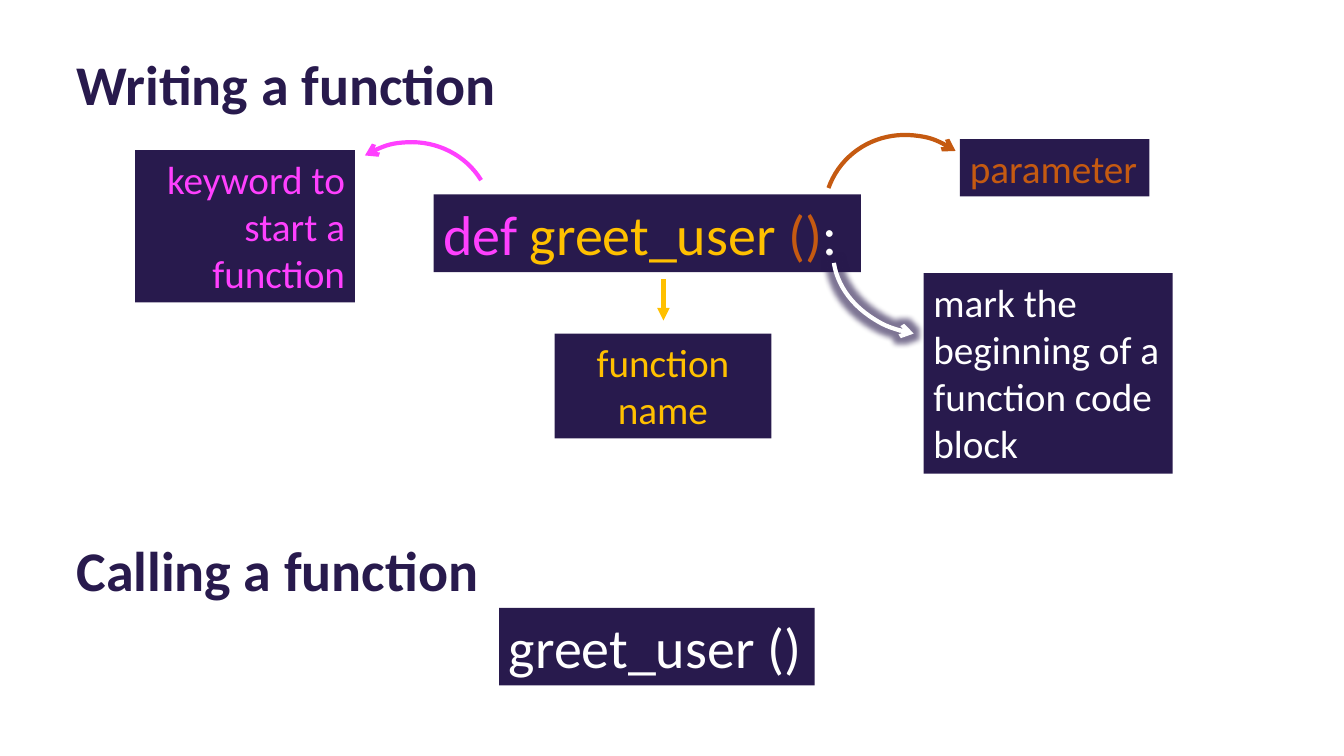
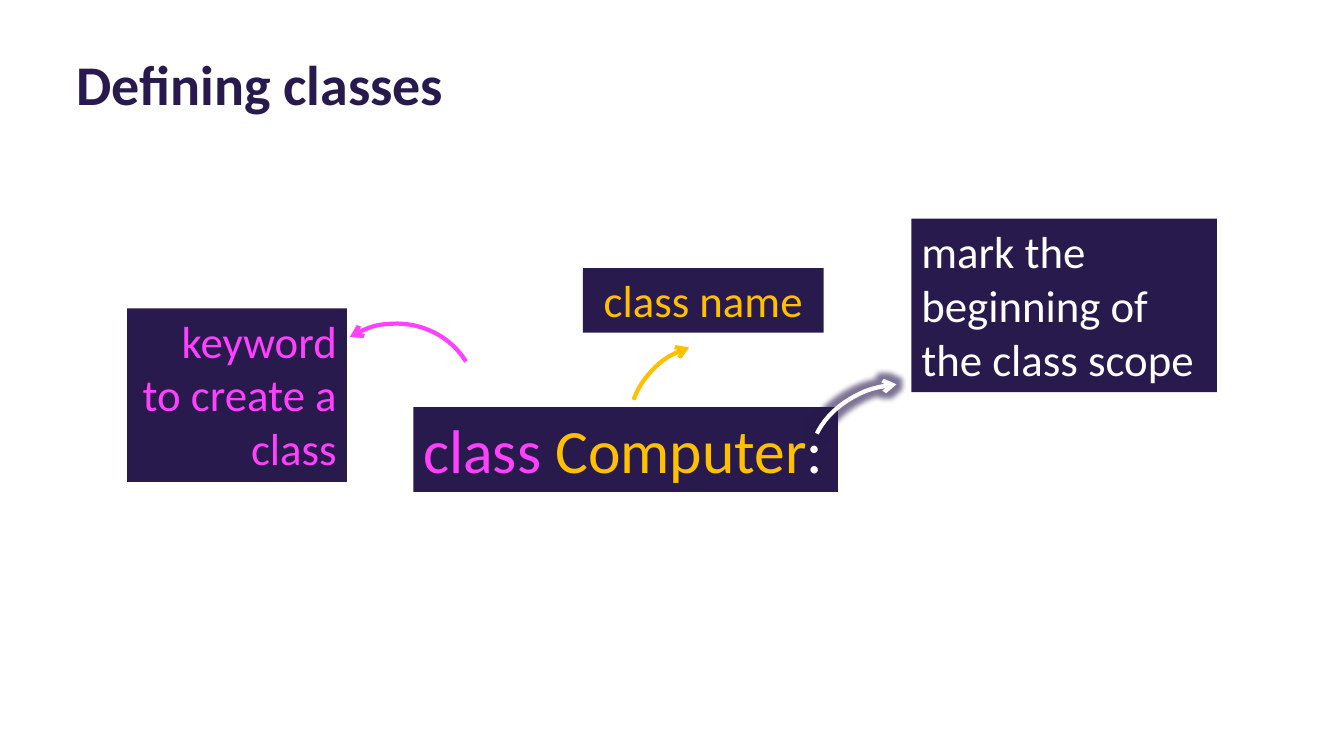
from lxml import etree
from pptx import Presentation
from pptx.dml.color import RGBColor
from pptx.enum.shapes import MSO_CONNECTOR, MSO_SHAPE
from pptx.enum.text import MSO_AUTO_SIZE, PP_ALIGN
from pptx.oxml import parse_xml
from pptx.oxml.ns import nsdecls, qn
from pptx.util import Pt

PX = 9144
LEFT, CENTER, RIGHT = PP_ALIGN.LEFT, PP_ALIGN.CENTER, PP_ALIGN.RIGHT
FIT_SHAPE = MSO_AUTO_SIZE.SHAPE_TO_FIT_TEXT
ARC, STRAIGHT = MSO_SHAPE.ARC, MSO_CONNECTOR.STRAIGHT

FONT = "Calibri"
NAVY, WHITE = "281A4D", "FFFFFF"
PINK, GOLD, ORANGE = "FF40FF", "FFC000", "C55A11"
TITLE_SIZE = 40
LINE_WIDTH = 3


def color(value):
    return RGBColor.from_string(value)


def add_text(slide, box, runs, size, align=LEFT, wrap=False, fill=NAVY, bold=False):
    shape = slide.shapes.add_textbox(*[value * PX for value in box])
    if fill:
        shape.fill.solid()
        shape.fill.fore_color.rgb = color(fill)
    frame = shape.text_frame
    frame.word_wrap = wrap
    frame.auto_size = FIT_SHAPE
    paragraph = frame.paragraphs[0]
    paragraph.alignment = align
    paragraph.font.name = FONT
    paragraph.font.size = Pt(size)
    paragraph.font.bold = bold
    for text, run_color in runs:
        run = paragraph.add_run()
        run.text = text
        run.font.color.rgb = color(run_color)


slides = [
    {
        "titles": [("Writing a function", (66, 44, 441, 77)),
                   ("Calling a function", (66, 526, 424, 77))],
        "code_size": 40,
        "code": [((430, 193, 424, 77), [("def ", PINK), ("greet_user ", GOLD),
                                        ("()", ORANGE), (":", WHITE)]),
                 ((495, 603, 313, 77), [("greet_user ()", WHITE)])],
        "label_size": 28,
        "labels": [("keyword to start a function", (134, 149, 218, 151), PINK, RIGHT, True),
                   ("function name", (550, 331, 215, 104), GOLD, CENTER, True),
                   ("parameter", (952, 138, 188, 57), ORANGE, LEFT, False),
                   ("mark the beginning of a function code block",
                    (916, 271, 247, 199), WHITE, LEFT, True)],
        "arcs": [((320, 142, 170, 163), PINK, 328.2, 0, ""),
                 ((816, 135, 170, 163), ORANGE, 35, 8.58, "H"),
                 ((826, 180, 185, 152), WHITE, 9.2, 208.62, "HV")],
        "arrows": [((658, 277, 658, 318), GOLD)],
    },
    {
        "titles": [("Defining classes", (66, 44, 389, 77))],
        "code_size": 44,
        "code": [((410, 404, 421, 84), [("class ", PINK), ("Computer", GOLD), (":", WHITE)])],
        "label_size": 32,
        "labels": [("keyword to create a class", (126, 306, 218, 172), PINK, RIGHT, True),
                   ("class name", (578, 266, 239, 64), GOLD, CENTER, True),
                   ("mark the beginning of the class scope",
                    (904, 217, 303, 172), WHITE, LEFT, True)],
        "arcs": [((305, 322, 170, 163), PINK, 328.2, 0, ""),
                 ((623, 341, 170, 163), GOLD, 342.5, 194.74, "H"),
                 ((803, 381, 185, 152), WHITE, 355.2, 202.63, "H")],
        "arrows": [],
    },
]

presentation = Presentation()
presentation.slide_width = 1333 * PX
presentation.slide_height = 750 * PX

for content in slides:
    slide = presentation.slides.add_slide(presentation.slide_layouts[6])

    for text, box in content["titles"]:
        add_text(slide, box, [(text, NAVY)], TITLE_SIZE, fill=None, bold=True)
    for box, runs in content["code"]:
        add_text(slide, box, runs, content["code_size"])
    for text, box, text_color, align, wrap in content["labels"]:
        add_text(slide, box, [(text, text_color)], content["label_size"], align, wrap)

    for box, line_color, rotation, end_angle, flips in content["arcs"]:
        arc = slide.shapes.add_shape(ARC, *[value * PX for value in box])
        arc.shadow.inherit = False
        arc.fill.background()
        arc.rotation = rotation
        arc.adjustments[0] = 162
        arc.adjustments[1] = end_angle
        arc.line.color.rgb = color(line_color)
        arc.line.width = Pt(LINE_WIDTH)
        etree.SubElement(arc.line._get_or_add_ln(), qn("a:headEnd"), type="arrow")
        properties = arc.element.spPr
        for axis in flips:
            properties.find(qn("a:xfrm")).set("flip" + axis, "1")
        if line_color == WHITE:
            properties.find(qn("a:effectLst")).append(parse_xml(
                f'<a:glow {nsdecls("a")} rad="101600"><a:srgbClr val="{NAVY}">'
                '<a:alpha val="60000"/></a:srgbClr></a:glow>'))

    for ends, line_color in content["arrows"]:
        arrow = slide.shapes.add_connector(STRAIGHT, *[value * PX for value in ends])
        arrow.line.color.rgb = color(line_color)
        arrow.line.width = Pt(LINE_WIDTH)
        etree.SubElement(arrow.line._get_or_add_ln(), qn("a:tailEnd"), type="triangle")
        etree.SubElement(arrow.element.spPr, qn("a:effectLst"))

presentation.save("out.pptx")
